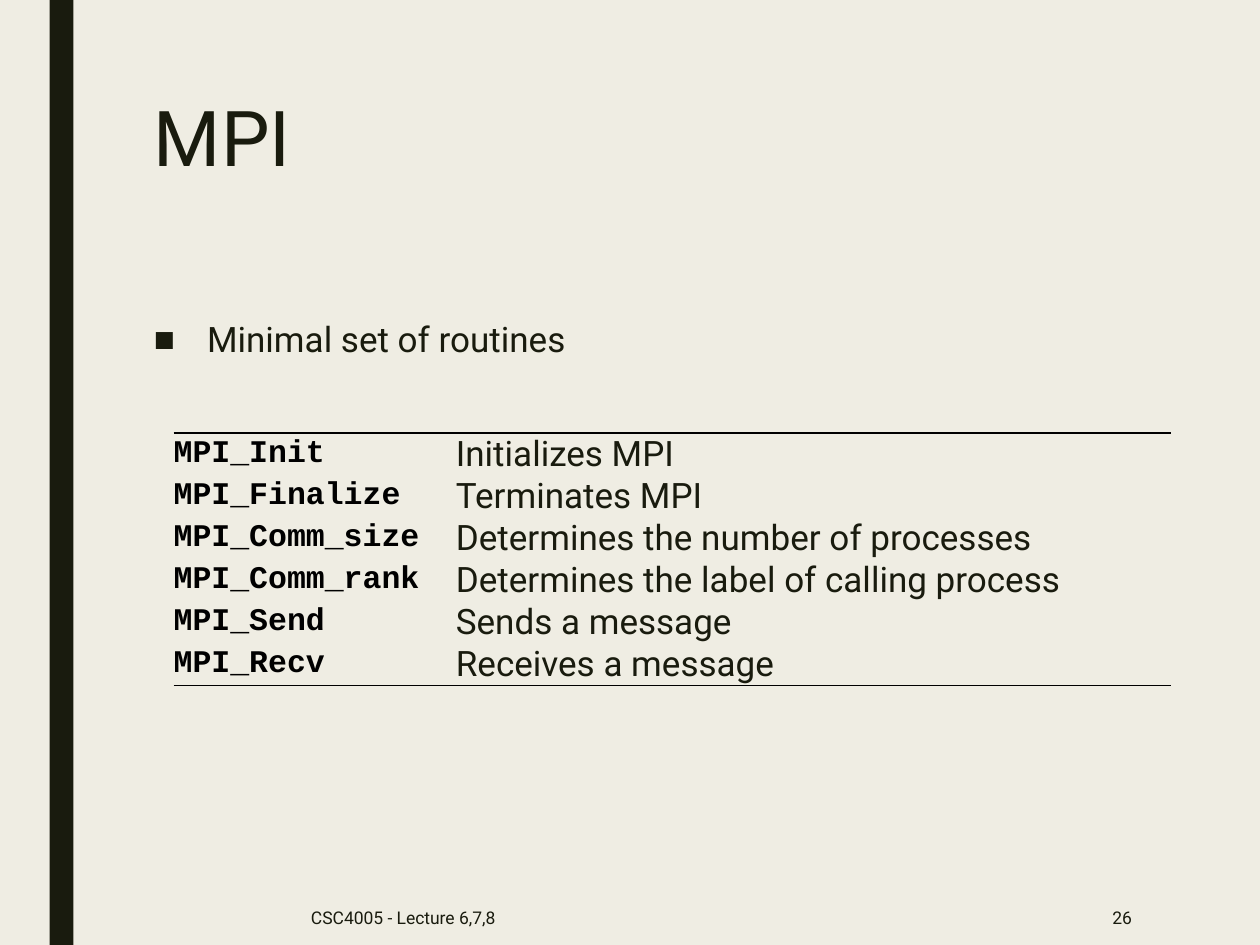
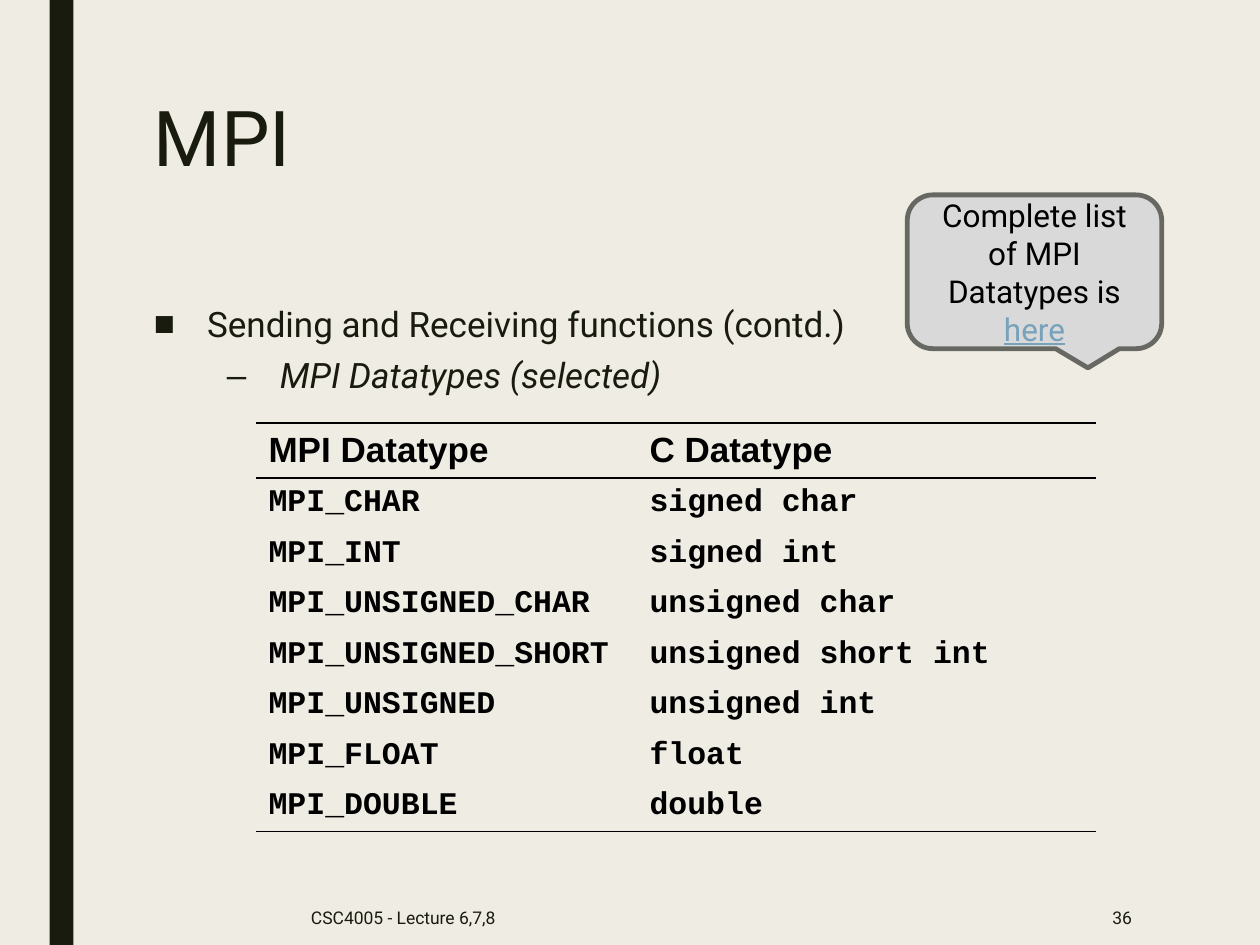
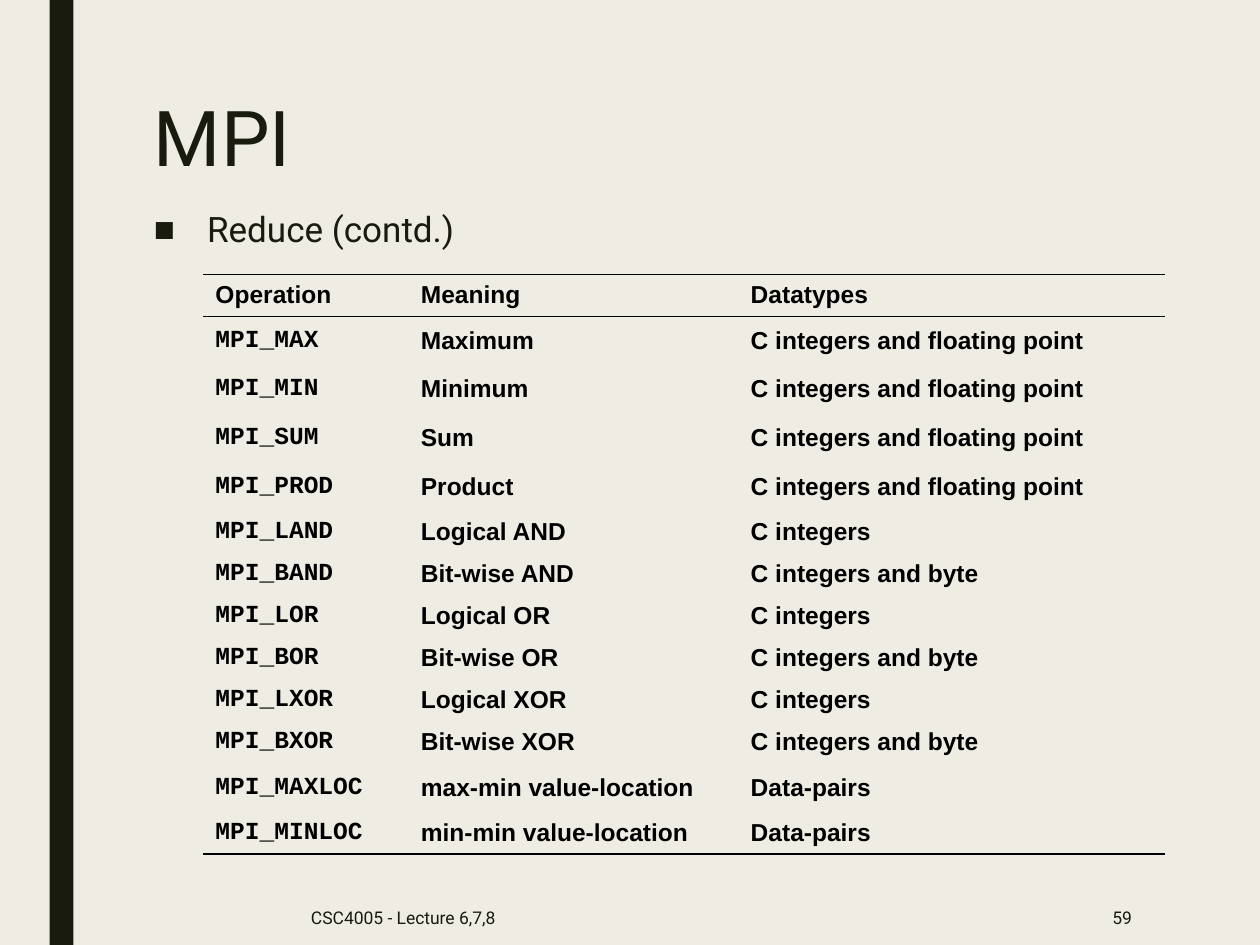
"""Builds three slides on MPI routines, datatypes and reduce operations."""
from lxml import etree
from pptx import Presentation
from pptx import util as u
from pptx.dml.color import RGBColor
from pptx.enum import shapes, text
from pptx.oxml import ns

DARK, BLACK, PAPER = "191B0E", "000000", "EFEDE3"
GREY, EDGE, LINK = "D9D9D9", "686863", "77A2BB"
MONO = dict(name="Courier New", size=u.Pt(18), bold=True, color=BLACK)
HEAD = dict(name="Arial", size=u.Pt(20), bold=True, color=BLACK)
BODY = dict(name="Roboto", size=u.Pt(20), color=DARK)
SMALL = dict(size=u.Pt(14))
LEFT, RIGHT, MID = text.PP_ALIGN.LEFT, text.PP_ALIGN.RIGHT, text.PP_ALIGN.CENTER
LEVELS = [
    dict(mark="■", left=1.07, before=10, look=BODY),
    dict(mark="–", left=2.54, before=5, look=BODY | dict(italic=True)),
]


def rgb(code):
    """Turn a hex string into a colour."""
    return RGBColor.from_string(code)


def put(item, vals):
    """Set each attribute of item from a dict."""
    for key, val in vals.items():
        setattr(item, key, val)


def box(*cms):
    """Turn left, top, width and height in cm into a dict of lengths."""
    return dict(zip(("left", "top", "width", "height"), map(u.Cm, cms)))


def node(root, tag, **attrs):
    """Add a drawing element below root."""
    return etree.SubElement(root, ns.qn("a:" + tag), attrs)


class Deck:
    """Holds the style and the current slide."""

    def __init__(self):
        """Open a blank deck with a paper background."""
        self.prs = Presentation()
        put(self.prs, dict(slide_width=u.Cm(25.4), slide_height=u.Cm(19.05)))
        self.master = self.prs.slide_master
        fill = self.master.background.fill
        fill.solid()
        fill.fore_color.rgb = rgb(PAPER)
        self.slide = None

    def run(self, par, words, look):
        """Add a run of text in a given look."""
        run = par.add_run()
        run.text = words
        put(run.font, {k: v for k, v in look.items() if k != "color"})
        run.font.color.rgb = rgb(look["color"])

    def shape(self, kind, place, fill, line=None):
        """Add a filled preset shape."""
        shape = self.slide.shapes.add_shape(kind, **box(*place))
        shape.shadow.inherit = False
        shape.fill.solid()
        shape.fill.fore_color.rgb = rgb(fill)
        if line:
            shape.line.color.rgb = rgb(line)
            shape.line.width = u.Pt(2.75)
        else:
            shape.line.fill.background()
        return shape

    def band(self):
        """Place the side band on the master."""
        band = self.shape(shapes.MSO_SHAPE.RECTANGLE, (1, 0, 0.48, 19.05), DARK)
        self.master.shapes._spTree.insert(2, band._element)

    def page(self, title, number):
        """Start a slide with its title and footers."""
        self.slide = self.prs.slides.add_slide(self.prs.slide_layouts[1])
        if number == FIRST:
            self.band()
        head = self.slide.shapes.title
        put(head, box(2.85, 1.9, 20, 4.12))
        put(head.text_frame, dict(auto_size=text.MSO_AUTO_SIZE.NONE,
                                  vertical_anchor=text.MSO_ANCHOR.TOP))
        par = head.text_frame.paragraphs[0]
        put(par, dict(alignment=LEFT, line_spacing=0.89))
        self.run(par, title, BODY | dict(size=u.Pt(44)))
        self.note("CSC4005 - Lecture 6,7,8", (6.02, 17.93, 13.08, 1.12), LEFT)
        self.note(str(number), (19.74, 17.93, 3.33, 1.12), RIGHT)

    def note(self, words, place, side):
        """Add a footer text."""
        frame = self.slide.shapes.add_textbox(**box(*place)).text_frame
        put(frame, dict(word_wrap=True, vertical_anchor=text.MSO_ANCHOR.MIDDLE))
        par = frame.paragraphs[0]
        par.alignment = side
        self.run(par, words, BODY | dict(size=u.Pt(10)))

    def list(self, place, *items):
        """Fill the body with one bullet per level."""
        body = self.slide.placeholders[1]
        put(body, box(*place))
        frame = body.text_frame
        frame.auto_size = text.MSO_AUTO_SIZE.NONE
        for num, (words, level) in enumerate(zip(items, LEVELS)):
            par = frame.add_paragraph() if num else frame.paragraphs[0]
            put(par, dict(level=num, line_spacing=0.94, space_after=u.Pt(2),
                          space_before=u.Pt(level["before"])))
            prop = par._p.get_or_add_pPr()
            prop.set("marL", str(u.Cm(level["left"])))
            prop.set("indent", str(u.Cm(-1.07)))
            node(prop, "buChar", char=level["mark"])
            self.run(par, words, level["look"])

    def edges(self, cell, ruled):
        """Draw the ruled edges of a cell and clear the others."""
        prop = cell._tc.get_or_add_tcPr()
        for num, side in enumerate("LRTB"):
            line = node(prop, "ln" + side, w=str(u.Pt(1)))
            if side in ruled:
                node(node(line, "solidFill"), "srgbClr", val=BLACK)
            else:
                node(line, "noFill")
            prop.insert(num, line)

    def table(self, spot, cols, highs, rows, looks, head=None, pad=True):
        """Add an open table ruled above, below and under its head."""
        place = box(*spot, sum(cols), sum(highs))
        grid = self.slide.shapes.add_table(len(rows), len(cols), **place).table
        put(grid, dict(first_row=False, horz_banding=False))
        for col, wide in zip(grid.columns, cols):
            col.width = u.Cm(wide)
        last = len(rows) - 1
        for y, row in enumerate(rows):
            grid.rows[y].height = u.Cm(highs[y])
            top = y == 0 or (head and y == 1)
            low = y == last or (head and y == 0)
            for x, words in enumerate(row):
                cell = grid.cell(y, x)
                cell.vertical_anchor = text.MSO_ANCHOR.MIDDLE
                if not pad:
                    put(cell, dict.fromkeys(("margin_left", "margin_right",
                                             "margin_top", "margin_bottom"), 0))
                cell.fill.background()
                self.edges(cell, "T" * bool(top) + "B" * bool(low))
                look = head if head and y == 0 else looks[x]
                self.run(cell.text_frame.paragraphs[0], words, look)

    def bubble(self, place, words, link):
        """Add a callout that ends in a link word."""
        kind = shapes.MSO_SHAPE.ROUNDED_RECTANGULAR_CALLOUT
        shape = self.shape(kind, place, GREY, EDGE)
        shape.adjustments[0] = 0.21
        shape.text_frame.vertical_anchor = text.MSO_ANCHOR.MIDDLE
        par = shape.text_frame.paragraphs[0]
        par.alignment = MID
        look = BODY | dict(size=u.Pt(18), color=BLACK)
        self.run(par, words, look)
        self.run(par, link, look | dict(color=LINK, underline=True))


FIRST = 26
CALLS = [
    ("MPI_Init", "Initializes MPI"),
    ("MPI_Finalize", "Terminates MPI"),
    ("MPI_Comm_size", "Determines the number of processes"),
    ("MPI_Comm_rank", "Determines the label of calling process"),
    ("MPI_Send", "Sends a message"),
    ("MPI_Recv", "Receives a message"),
]
TYPES = [
    ("MPI Datatype", "C Datatype"),
    ("MPI_CHAR", "signed char"),
    ("MPI_INT", "signed int"),
    ("MPI_UNSIGNED_CHAR", "unsigned char"),
    ("MPI_UNSIGNED_SHORT", "unsigned short int"),
    ("MPI_UNSIGNED", "unsigned int"),
    ("MPI_FLOAT", "float"),
    ("MPI_DOUBLE", "double"),
]
REAL, WHOLE, BYTE = ("C integers and floating point", "C integers",
                     "C integers and byte")
OPS = [
    ("Operation", "Meaning", "Datatypes"),
    ("MPI_MAX", "Maximum", REAL),
    ("MPI_MIN", "Minimum", REAL),
    ("MPI_SUM", "Sum", REAL),
    ("MPI_PROD", "Product", REAL),
    ("MPI_LAND", "Logical AND", WHOLE),
    ("MPI_BAND", "Bit-wise AND", BYTE),
    ("MPI_LOR", "Logical OR", WHOLE),
    ("MPI_BOR", "Bit-wise OR", BYTE),
    ("MPI_LXOR", "Logical XOR", WHOLE),
    ("MPI_BXOR", "Bit-wise XOR", BYTE),
    ("MPI_MAXLOC", "max-min value-location", "Data-pairs"),
    ("MPI_MINLOC", "min-min value-location", "Data-pairs"),
]


def main():
    """Build the slides and save them."""
    deck = Deck()
    deck.page("MPI", FIRST)
    deck.list((2.85, 6.35, 20, 9.95), "Minimal set of routines")
    deck.table((3.5, 8.73), (5.69, 14.42), [0.83] * 6, CALLS, (MONO, BODY),
               pad=False)

    deck.page("MPI", 36)
    deck.list((2.85, 6.03, 21.03, 10.27),
              "Sending and Receiving functions (contd.)",
              "MPI Datatypes (selected)")
    deck.table((5.16, 8.53), (7.68, 9.25), [1.11] + [0.97] * 7, TYPES,
               (MONO, MONO), HEAD)
    deck.bubble((18.29, 3.93, 5.13, 3.1), "Complete list of MPI Datatypes is ",
                "here")

    deck.page("MPI", 59)
    deck.list((2.85, 4.12, 20, 12.17), "Reduce (contd.)")
    bold = HEAD | SMALL
    deck.table((4.09, 5.53), (4.14, 6.65, 8.61),
               [0.82] + [0.98] * 4 + [0.82] * 6 + [0.98, 0.84], OPS,
               (MONO | SMALL, bold, bold), bold)
    deck.prs.save("out.pptx")


if __name__ == "__main__":
    main()
